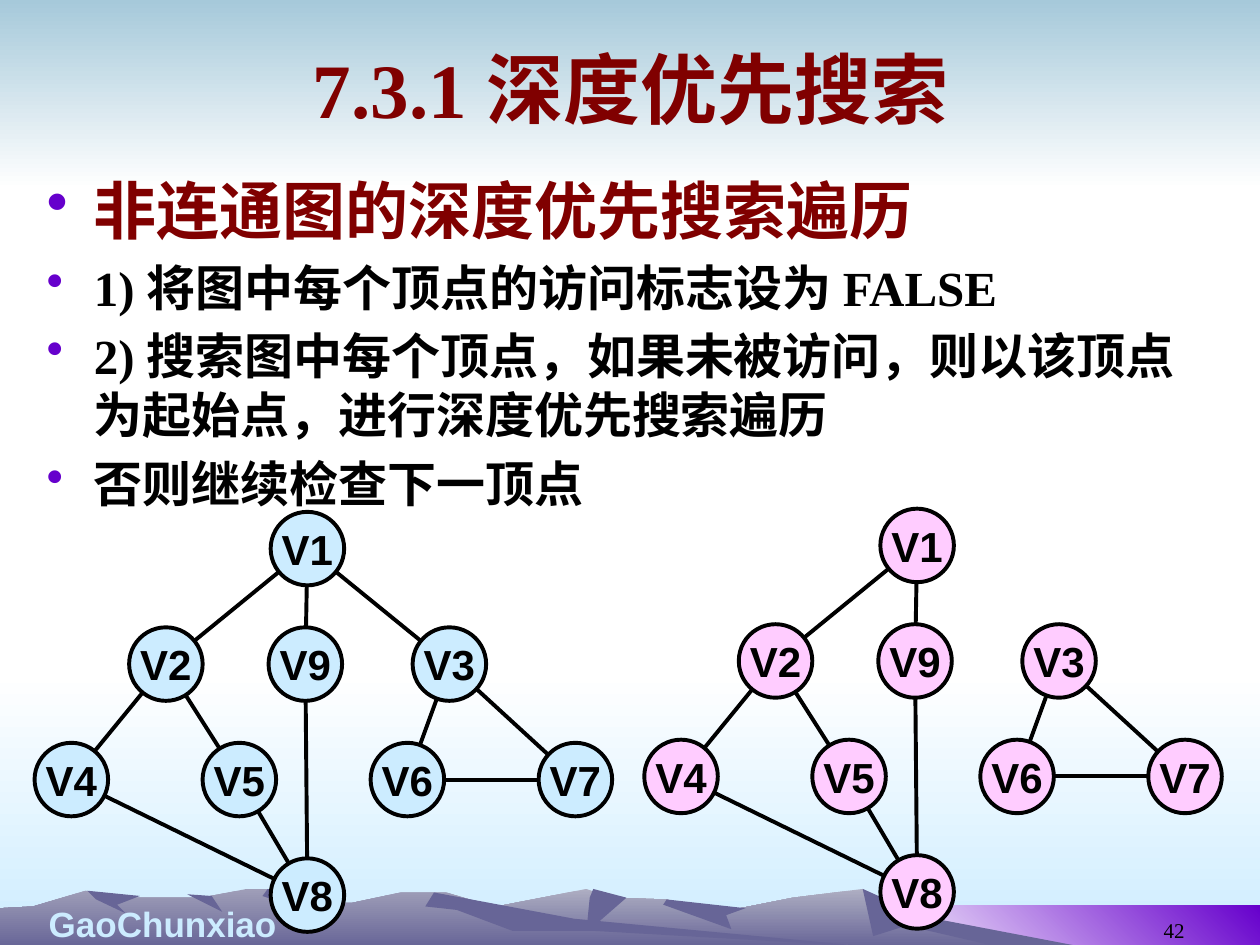
from math import hypot

from lxml import etree
from pptx import Presentation
from pptx.dml.color import RGBColor
from pptx.enum.shapes import MSO_CONNECTOR, MSO_SHAPE
from pptx.enum.text import MSO_ANCHOR, PP_ALIGN
from pptx.oxml.ns import qn
from pptx.util import Pt

hue = RGBColor.from_string


def paint(shape, tones, angle=90):
    """Fill without outline: one tone is solid, two make a gradient, angle clockwise."""
    shape.shadow.inherit = False
    shape.line.fill.background()
    if len(tones) == 1:
        shape.fill.solid()
        shape.fill.fore_color.rgb = hue(tones[0])
        return
    shape.fill.gradient()
    shape.fill.gradient_angle = 360 - angle
    for stop, tone, place in zip(shape.fill.gradient_stops, tones, (0, 1)):
        stop.color.rgb = hue(tone)
        stop.position = place


def write(frame, text, size, face, tone, bold=True, align=PP_ALIGN.CENTER):
    """Put one paragraph per line into a frame."""
    frame.text = text
    for para in frame.paragraphs:
        para.alignment = align
        for run in para.runs:
            font = run.font
            font.size, font.name, font.bold = Pt(size), face, bold
            font.color.rgb = hue(tone)


deck = Presentation()
deck.slide_width, deck.slide_height = Pt(720), Pt(540)
slide = deck.slides.add_slide(deck.slide_layouts[6])
shapes = slide.shapes

# Sky, ground and corner bands
bands = [
    ((0, 384, 720, 156), ("FFFFFF", "CCECFF"), 90),
    ((0, 0, 720, 108), ("A6C9DA", "FFFFFF"), 90),
    ((492, 517.5, 228, 24), ("FFFFFF", "6600CC"), 315),
]
for area, tones, angle in bands:
    band = shapes.add_shape(MSO_SHAPE.RECTANGLE, *map(Pt, area))
    paint(band, tones, angle)

# Mountains: each ridge is followed by its dark facets
dark = ("676597",)
hills = [
    (("AEAEC2", "676597"), [
        (591, 541), (521, 522), (493, 508), (453, 513), (408, 522), (381, 514),
        (350, 513), (335, 508), (284, 518), (235, 526), (186, 541)]),
    (dark, [(618, 541), (529, 524), (493, 508), (499, 535), (518, 529), (570, 541)]),
    (dark, [(339, 508), (337, 513), (335, 533), (358, 513)]),
    (dark, [(381, 514), (379, 517), (418, 531), (415, 523), (426, 519)]),
    (("9F9EB8", "676597"), [
        (497, 541), (311, 527), (255, 510), (229, 510), (201, 516), (170, 516),
        (155, 508), (141, 508), (115, 513), (68, 513), (49, 509), (19, 518),
        (0, 519), (0, 541)]),
    (dark, [(153, 508), (150, 512), (192, 526), (195, 516), (167, 509)]),
    (dark, [
        (248, 510), (243, 518), (261, 520), (293, 532), (340, 532), (497, 541),
        (328, 525)]),
    (dark, [(107, 511), (121, 512), (127, 521)]),
    (dark, [(50, 509), (80, 512), (67, 517), (72, 522), (55, 514)]),
]
for tones, dots in hills:
    spots = [(Pt(x), Pt(y)) for x, y in dots]
    pen = shapes.build_freeform(*spots[0])
    pen.add_line_segments(spots[1:], close=True)
    paint(pen.convert_to_shape(), tones)

# Text
serif, sans = "Times New Roman", "Arial"
points = "\n".join([
    "非连通图的深度优先搜索遍历",
    "1) 将图中每个顶点的访问标志设为 FALSE",
    "2) 搜索图中每个顶点，如果未被访问，则以该顶点为起始点，进行深度优先搜索遍历",
    "否则继续检查下一顶点",
])
top, mid, low = MSO_ANCHOR.TOP, MSO_ANCHOR.MIDDLE, MSO_ANCHOR.BOTTOM
left, center, right = PP_ALIGN.LEFT, PP_ALIGN.CENTER, PP_ALIGN.RIGHT
texts = [
    ((0, 512, 186, 31.5), top, ("GaoChunxiao", 20, sans, "CCECFF", True, center)),
    ((516, 506, 168, 36), low, ("42", 12, serif, "000000", False, right)),
    ((36.5, 9.5, 648, 81), mid, ("7.3.1 深度优先搜索", 44, serif, "800000", True, center)),
    ((19.5, 94.5, 680, 408), top, (points, 28, serif, "000000", True, left)),
]
for area, anchor, words in texts:
    frame = shapes.add_textbox(*map(Pt, area)).text_frame
    frame.word_wrap = True
    frame.vertical_anchor = anchor
    write(frame, *words)

# The last frame holds the bullet list
for rank, para in enumerate(frame.paragraphs):
    props = para._p.get_or_add_pPr()
    props.set("marL", str(Pt(27)))
    props.set("indent", str(Pt(-27)))
    tint = etree.SubElement(props, qn("a:buClr"))
    etree.SubElement(tint, qn("a:srgbClr"), val="6600CC")
    etree.SubElement(props, qn("a:buChar"), char="•")
    if rank:
        para.space_before = Pt(5.6)
head = frame.paragraphs[0].runs[0].font
head.size = Pt(36)
head.color.rgb = hue("800000")

# Graphs: node centres stand in rows, edges run from rim to rim
size, step = 42, 66
rows = [{1: 175.7}, {2: 94.8, 3: 256.8, 9: 174.5},
        {rank: 40.8 + 96 * col for col, rank in enumerate((4, 5, 6, 7))}, {8: 175.7}]
nodes = {rank: (x, 313.5 + step * row)
         for row, line in enumerate(rows) for rank, x in line.items()}
edges = ["98", "19", "67", "48", "37", "36", "58", "25", "24", "12", "13"]
graphs = [(0, 0, "CCECFF", edges), (348.4, -1.8, "FFCCFF", edges[:-1])]
for dx, dy, tone, pairs in graphs:
    for pair in pairs:
        (x1, y1), (x2, y2) = (nodes[int(rank)] for rank in pair)
        part = size / 2 / hypot(x2 - x1, y2 - y1)
        gapx, gapy = (x2 - x1) * part, (y2 - y1) * part
        link = shapes.add_connector(
            MSO_CONNECTOR.STRAIGHT,
            Pt(x1 + gapx + dx), Pt(y1 + gapy + dy), Pt(x2 - gapx + dx), Pt(y2 - gapy + dy))
        link.line.width = Pt(2.25)
        link.line.color.rgb = hue("000000")
        etree.SubElement(link._element.spPr, qn("a:effectLst"))
    for rank, (x, y) in sorted(nodes.items()):
        node = shapes.add_shape(
            MSO_SHAPE.OVAL, Pt(x - size / 2 + dx), Pt(y - size / 2 + dy), Pt(size), Pt(size))
        paint(node, (tone,))
        node.line.width = Pt(2.25)
        node.line.color.rgb = hue("000000")
        node.text_frame.word_wrap = False
        node.text_frame.vertical_anchor = mid
        write(node.text_frame, f"V{rank}", 24, sans, "000000")

deck.save("out.pptx")
